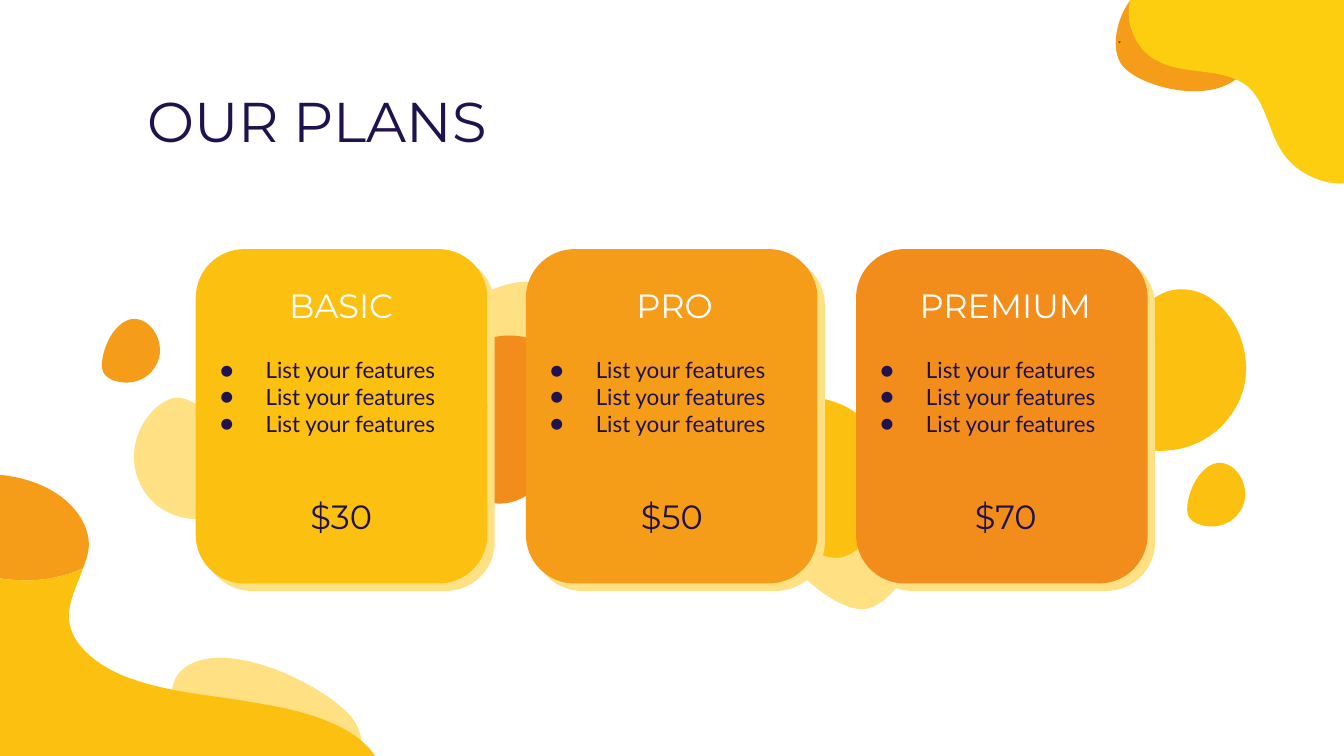
from dataclasses import dataclass

from lxml.etree import SubElement
from pptx import Presentation
from pptx.dml.color import RGBColor
from pptx.enum.shapes import MSO_SHAPE as Preset
from pptx.enum.text import MSO_ANCHOR as Anchor, PP_ALIGN as Align
from pptx.oxml.ns import qn
from pptx.util import Cm, Pt

COLORS = {
    "cream": "FFE082", "lemon": "FDCE0F", "yellow": "FCC010", "amber": "F59D19",
    "orange": "F28D1B", "navy": "20124D", "white": "FFFFFF", "black": "020203",
}
HEADING, BODY = "Montserrat", "Lato"

CARD_LEFT, CARD_TOP, CARD_PITCH = 3.7, 4.71, 6.24
CARD_WIDTH, CARD_HEIGHT = 5.51, 6.32
CARD_OFFSET = 0.14
FEATURES = ["List your features"] * 3

# Outlines: a start point, then lines (x, y) and cubic curves (x1, y1, x2, y2, x, y).
# The teardrop is given in fractions of its frame, measured from the centre.
TEARDROP = [
    (0.02, -0.5),
    (-0.27, -0.5, -0.5, 0, -0.33, 0.3),
    (-0.24, 0.44, -0.09, 0.5, 0.06, 0.5),
    (0.22, 0.5, 0.38, 0.44, 0.42, 0.32),
    (0.5, 0.1, 0.4, -0.46, 0.04, -0.5),
    (0.04, -0.5, 0.03, -0.5, 0.02, -0.5),
]
# The others are in centimetres on the slide.
SPECK = [
    (21.13, 0.79),
    (21.13, 0.79, 21.16, 0.79, 21.16, 0.81),
    (21.16, 0.81, 21.18, 0.79, 21.18, 0.79), (21.18, 0.79),
]
HILL_TOP = [
    (-0.1, 8.97), (-0.1, 10.92),
    (0.1, 10.95, 0.28, 10.97, 0.48, 10.97),
    (0.53, 10.97, 0.58, 10.97, 0.61, 10.97),
    (0.97, 10.95, 1.3, 10.87, 1.57, 10.74),
    (1.63, 10.59, 1.68, 10.44, 1.68, 10.29),
    (1.68, 9.91, 1.4, 9.5, 0.94, 9.25),
    (0.64, 9.09, 0.28, 8.99, -0.1, 8.97),
]
HILL = [
    (1.57, 10.74), (1.57, 10.74),
    (1.3, 10.87, 0.97, 10.95, 0.61, 10.97),
    (0.58, 10.97, 0.53, 10.97, 0.48, 10.97),
    (0.28, 10.97, 0.1, 10.95, -0.1, 10.92), (-0.1, 15.24), (7.04, 15.24),
    (7.14, 15.14, 7.19, 15.01, 7.21, 14.88),
    (7.32, 14.43, 6.93, 13.97, 6.38, 13.72),
    (5.82, 13.44, 5.16, 13.34, 4.5, 13.23),
    (3.84, 13.13, 3.15, 13.06, 2.54, 12.85),
    (1.93, 12.65, 1.42, 12.27, 1.32, 11.81),
    (1.24, 11.46, 1.45, 11.1, 1.57, 10.74),
]
CORNER = [
    (21.54, -0.38),
    (21.36, -0.15, 21.31, 0.13, 21.34, 0.38),
    (21.39, 0.69, 21.56, 0.97, 21.82, 1.12),
    (22.35, 1.45, 23.11, 1.24, 23.6, 1.65),
    (23.93, 1.96, 23.98, 2.49, 24.23, 2.87),
    (24.43, 3.18, 24.77, 3.38, 25.12, 3.45),
    (25.2, 3.46, 25.27, 3.47, 25.34, 3.47),
    (25.48, 3.47, 25.61, 3.45, 25.76, 3.41), (25.76, -0.38),
]


@dataclass
class Drop:
    x: float
    y: float
    width: float
    height: float
    angle: float
    color: str


@dataclass
class Plan:
    name: str
    price: str
    color: str
    name_inset: float
    price_inset: float


@dataclass
class Style:
    font: str
    size: float
    color: str
    align: Align = Align.LEFT
    anchor: Anchor = Anchor.TOP
    bulleted: bool = False


CORNER_DROPS = [
    Drop(4.93, 13.86, 2.84, 3.84, 302.5, "cream"),
    Drop(22.44, 0.65, 2.51, 2.57, 112.4, "amber"),
]
CARD_DROPS = [
    Drop(3.58, 8.83, 2.84, 1.91, 230, "cream"),
    Drop(22.28, 6.97, 3.81, 2.57, 112.4, "yellow"),
    Drop(15.88, 9.78, 3.81, 2.57, 45, "cream"),
    Drop(15.39, 8.81, 3.81, 2.57, 45, "yellow"),
    Drop(9.63, 7.02, 3.81, 2.57, 270, "cream"),
    Drop(9.27, 8.04, 3.81, 2.57, 270, "orange"),
    Drop(23.03, 9.34, 1.5, 1.02, 112.4, "yellow"),
    Drop(2.52, 6.62, 1.5, 1.02, 112.4, "amber"),
]
PLANS = [
    Plan("BASIC", "$30", "yellow", 0.21, 0.21),
    Plan("PRO", "$50", "amber", 0.27, 0.22),
    Plan("PREMIUM", "$70", "orange", 0.28, 0.29),
]
TITLE = Style(HEADING, 30, "navy")
PLAN_NAME = Style(HEADING, 18, "white", Align.CENTER, Anchor.MIDDLE)
PRICE = Style(HEADING, 18, "navy", Align.CENTER, Anchor.MIDDLE)
FEATURE = Style(BODY, 12, "navy", bulleted=True)


def paint(shape, color: str) -> None:
    shape.shadow.inherit = False
    shape.fill.solid()
    shape.fill.fore_color.rgb = RGBColor.from_string(COLORS[color])
    shape.line.fill.background()


def draw_blob(shapes, outline: list[tuple], color: str, angle: float = 0) -> None:
    segments = [[(Cm(x), Cm(y)) for x, y in zip(step[::2], step[1::2])]
                for step in outline]
    xs, ys = zip(*(point for segment in segments for point in segment))
    left, top = min(xs), min(ys)
    width, height = max(xs) - left, max(ys) - top

    builder = shapes.build_freeform(*segments[0][0])
    builder.add_line_segments([segment[-1] for segment in segments[1:]], close=True)
    blob = builder.convert_to_shape()
    blob.left, blob.top, blob.width, blob.height = left, top, width, height
    blob.rotation = angle
    paint(blob, color)

    # Replace the straight segments with curves
    contour = blob._element.find(".//" + qn("a:path"))
    for child in list(contour):
        contour.remove(child)
    contour.set("w", str(width))
    contour.set("h", str(height))
    for index, segment in enumerate(segments):
        tag = "a:cubicBezTo" if len(segment) == 3 else "a:lnTo"
        step = SubElement(contour, qn(tag if index else "a:moveTo"))
        for x, y in segment:
            SubElement(step, qn("a:pt"), x=str(x - left), y=str(y - top))
    SubElement(contour, qn("a:close"))


def draw_drop(shapes, drop: Drop) -> None:
    outline = [tuple(drop.y + value * drop.height if index % 2
                     else drop.x + value * drop.width
                     for index, value in enumerate(segment)) for segment in TEARDROP]
    draw_blob(shapes, outline, drop.color, drop.angle)


def add_bullet(paragraph, style: Style) -> None:
    properties = paragraph._p.get_or_add_pPr()
    properties.set("marL", str(Cm(1.27)))
    properties.set("indent", str(Cm(-0.86)))
    bullet_color = SubElement(properties, qn("a:buClr"))
    SubElement(bullet_color, qn("a:srgbClr"), val=COLORS[style.color])
    SubElement(properties, qn("a:buFont"), typeface=style.font)
    SubElement(properties, qn("a:buChar"), char="●")


def draw_text(shapes, lines: list[str], left: float, top: float,
              width: float, height: float, style: Style) -> None:
    frame = shapes.add_textbox(Cm(left), Cm(top), Cm(width), Cm(height)).text_frame
    frame.word_wrap = True
    frame.vertical_anchor = style.anchor
    frame.margin_left = frame.margin_right = Cm(0.25)
    frame.margin_top = frame.margin_bottom = Cm(0.25)
    for index, line in enumerate(lines):
        paragraph = frame.add_paragraph() if index else frame.paragraphs[0]
        paragraph.alignment = style.align
        if style.bulleted:
            add_bullet(paragraph, style)
        run = paragraph.add_run()
        run.text = line
        run.font.name = style.font
        run.font.size = Pt(style.size)
        run.font.color.rgb = RGBColor.from_string(COLORS[style.color])


def draw_card(shapes, plan: Plan, left: float) -> None:
    for offset, color in ((CARD_OFFSET, "cream"), (0, plan.color)):
        card = shapes.add_shape(Preset.ROUNDED_RECTANGLE, Cm(left + offset),
                                Cm(CARD_TOP + offset), Cm(CARD_WIDTH), Cm(CARD_HEIGHT))
        card.adjustments[0] = 0.167
        paint(card, color)
    draw_text(shapes, FEATURES, left - 0.2, 6.48, 5.97, 2.49, FEATURE)
    draw_text(shapes, [plan.name], left + plan.name_inset, 5.13, 5.08, 1.27, PLAN_NAME)
    draw_text(shapes, [plan.price], left + plan.price_inset, 9.12, 5.08, 1.27, PRICE)


def main() -> None:
    deck = Presentation()
    deck.slide_width, deck.slide_height = Cm(25.4), Cm(14.29)
    shapes = deck.slides.add_slide(deck.slide_layouts[6]).shapes

    # Corner decoration
    for drop in CORNER_DROPS:
        draw_drop(shapes, drop)
    for outline, color in ((SPECK, "black"), (HILL_TOP, "amber"),
                           (HILL, "yellow"), (CORNER, "lemon")):
        draw_blob(shapes, outline, color)
    # Drops behind the cards
    for drop in CARD_DROPS:
        draw_drop(shapes, drop)
    # Plans
    for index, plan in enumerate(PLANS):
        draw_card(shapes, plan, CARD_LEFT + index * CARD_PITCH)
    # Title
    draw_text(shapes, ["OUR PLANS"], 2.54, 1.38, 20.27, 1.6, TITLE)
    deck.save("out.pptx")


if __name__ == "__main__":
    main()
